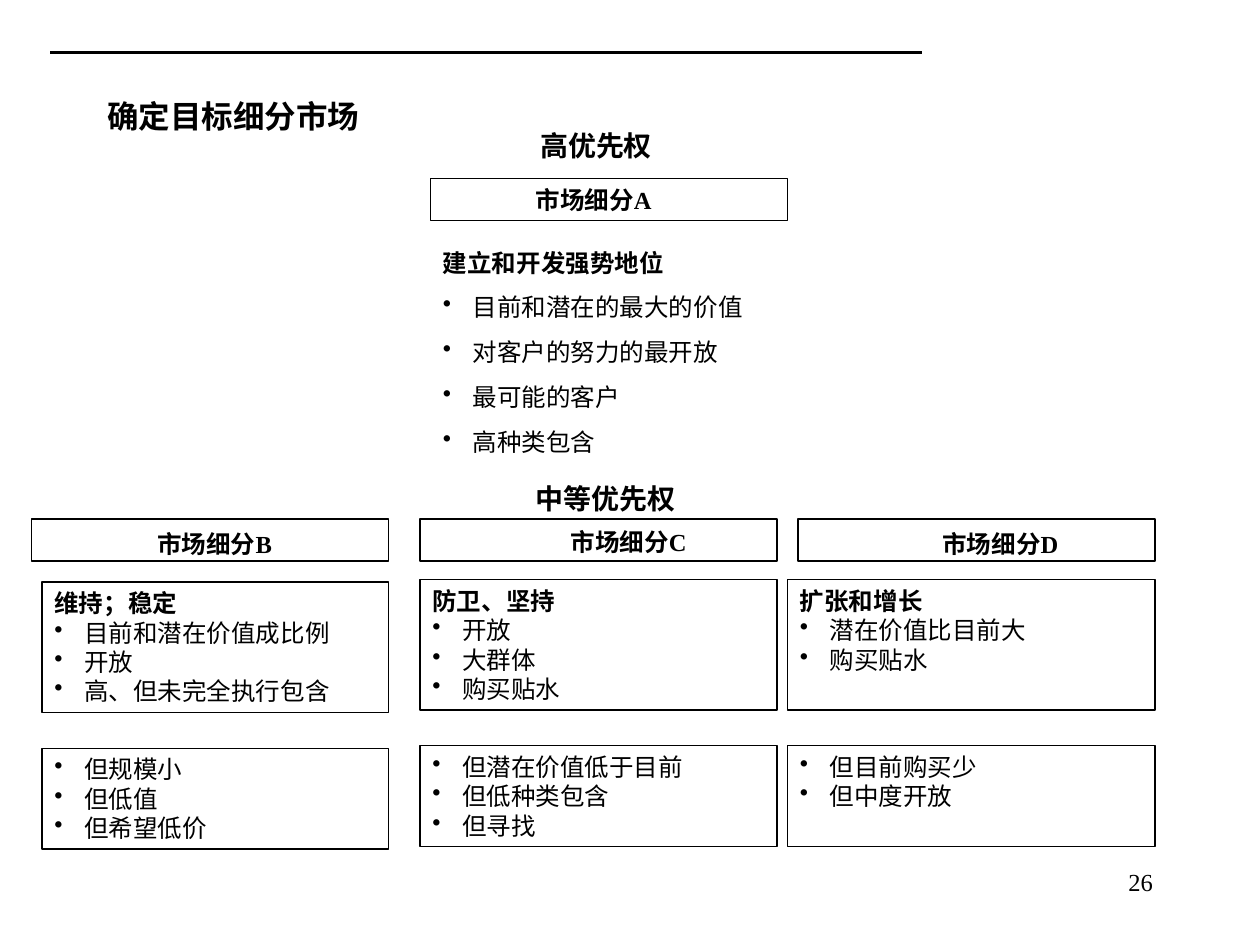
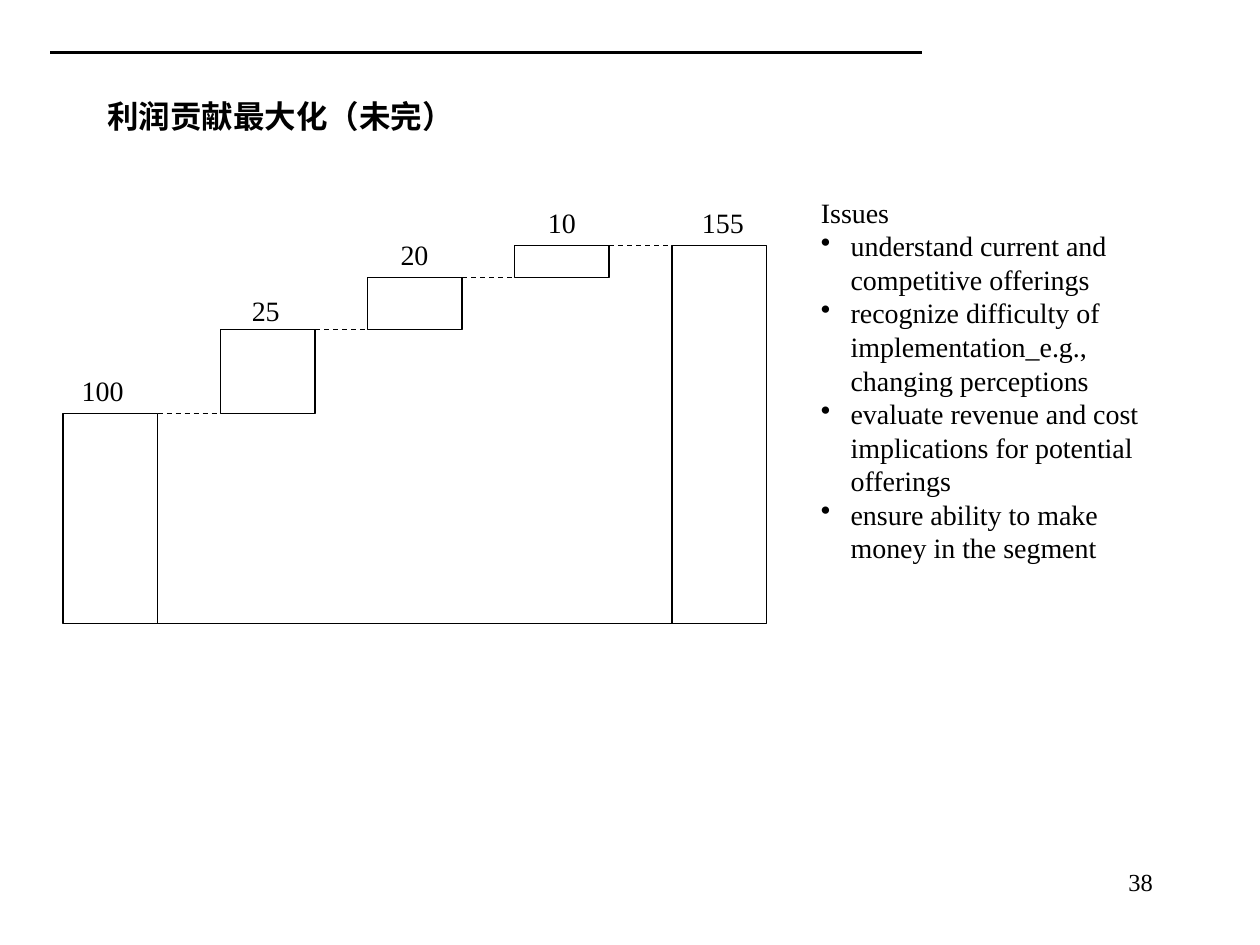
"""Build two slides: target segments by priority, and a profit step diagram."""
from lxml import etree
from pptx import Presentation
from pptx.dml.color import RGBColor
from pptx.enum import dml, lang, shapes, text
from pptx.oxml.ns import qn
from pptx.util import Pt

FONT = "Times New Roman"
INK, PAPER = "000000", "FFFFFF"
HANG = 17


def tint(code):
    return RGBColor.from_string(code)


class Deck:
    def __init__(self):
        self.prs = Presentation()
        self.prs.slide_width, self.prs.slide_height = Pt(720), Pt(540)
        self.slide = None

    def page(self, title, number):
        self.slide = self.prs.slides.add_slide(self.prs.slide_layouts[5])
        self.line(28.8, 30, 527, 30, 1.5)
        head = self.slide.shapes.title
        head.left, head.top, head.width, head.height = map(Pt, (54, 30, 612, 72))
        frame = self.frame(head, text.MSO_ANCHOR.MIDDLE)
        self.put(frame, [title], 18, bold=True)
        self.text(516, 492, 150, 36, [str(number)], 14, align=text.PP_ALIGN.RIGHT)

    def frame(self, shape, anchor=text.MSO_ANCHOR.TOP, wrap=True):
        frame = shape.text_frame
        frame.auto_size = text.MSO_AUTO_SIZE.NONE
        frame.word_wrap = wrap
        frame.vertical_anchor = anchor
        frame.margin_left = frame.margin_right = Pt(7.2)
        frame.margin_top = frame.margin_bottom = Pt(3.6)
        return frame

    def bullet(self, para):
        props = para._p.get_or_add_pPr()
        props.set("marL", str(Pt(HANG)))
        props.set("indent", str(-Pt(HANG)))
        etree.SubElement(props, qn("a:buChar")).set("char", "•")

    def put(self, frame, heads, size, items=(), bold=False, gap=0,
            align=text.PP_ALIGN.LEFT):
        rows = [(head, False) for head in heads] + [(item, True) for item in items]
        for i, (words, dot) in enumerate(rows):
            para = frame.add_paragraph() if i else frame.paragraphs[0]
            para.alignment = align
            para.space_before = Pt(gap if i else 0)
            if dot:
                self.bullet(para)
            run = para.add_run()
            run.text = words
            font = run.font
            font.name, font.size = FONT, Pt(size)
            font.bold = bold and not dot
            font.color.rgb = tint(INK)
            if not words.isascii():
                font.language_id = lang.MSO_LANGUAGE_ID.SIMPLIFIED_CHINESE

    def text(self, x, y, w, h, heads, size, wrap=True, **style):
        box = self.slide.shapes.add_textbox(Pt(x), Pt(y), Pt(w), Pt(h))
        self.put(self.frame(box, wrap=wrap), heads, size, **style)

    def label(self, x, y, w, words, size, bold=True):
        self.text(x, y, w, size * 1.2 + 7.2, [words], size, wrap=False, bold=bold)

    def rect(self, x, y, w, h, fill=None):
        box = self.slide.shapes.add_shape(
            shapes.MSO_SHAPE.RECTANGLE, Pt(x), Pt(y), Pt(w), Pt(h))
        box.shadow.inherit = False
        box.line.color.rgb, box.line.width = tint(INK), Pt(0.75)
        if fill:
            box.fill.solid()
            box.fill.fore_color.rgb = tint(fill)
        else:
            box.fill.background()
        return box

    def card(self, x, y, w, h, heads, items):
        box = self.rect(x, y, w, h)
        self.put(self.frame(box), heads, 14, items=items, bold=True)

    def line(self, x1, y1, x2, y2, width=0.75, dash=False):
        rule = self.slide.shapes.add_connector(
            shapes.MSO_CONNECTOR.STRAIGHT, Pt(x1), Pt(y1), Pt(x2), Pt(y2))
        rule.line.color.rgb, rule.line.width = tint(INK), Pt(width)
        if dash:
            rule.line.dash_style = dml.MSO_LINE.DASH
        etree.SubElement(rule._element.spPr, qn("a:effectLst"))


def targets(deck):
    deck.page("确定目标细分市场", 26)
    deck.label(301.7, 70, 78.4, "高优先权", 16)
    deck.rect(246, 102, 204, 24)
    deck.label(299, 102, 83.5, "市场细分A", 14)
    deck.text(246, 138, 216, 152, ["建立和开发强势地位"], 14, bold=True, gap=8.8,
              items=["目前和潜在的最大的价值", "对客户的努力的最开放",
                     "最可能的客户", "高种类包含"])
    deck.label(299, 271.5, 94.4, "中等优先权", 16)

    columns = [
        (18, "市场细分B", 82.8, 299, 24, 198, 332.6, "维持；稳定",
         ["目前和潜在价值成比例", "开放", "高、但未完全执行包含"],
         ["但规模小", "但低值", "但希望低价"]),
        (240, "市场细分C", 319, 297.5, 240, 204, 331.2, "防卫、坚持",
         ["开放", "大群体", "购买贴水"],
         ["但潜在价值低于目前", "但低种类包含", "但寻找"]),
        (456, "市场细分D", 531.5, 299, 450, 210, 331.2, "扩张和增长",
         ["潜在价值比目前大", "购买贴水"],
         ["但目前购买少", "但中度开放"]),
    ]
    for left, name, tx, ty, x, w, y, aim, pros, cons in columns:
        deck.rect(left, 296.6, 204, 24)
        deck.label(tx, ty, 83.5, name, 14)
        deck.card(x, y, w, 74.6, [aim], pros)
        deck.card(x, y + 95, w, 57.6, [], cons)


def profit(deck):
    deck.page("利润贡献最大化（未完）", 38)
    deck.text(462, 108, 204, 237.6, ["Issues"], 16, items=[
        "understand current and competitive offerings",
        "recognize difficulty of implementation_e.g., changing perceptions",
        "evaluate revenue and cost implications for potential offerings",
        "ensure ability to make money in the segment"])

    base, wide = 356.4, 54
    steps = [
        (36, 236.4, 100, 39.6, 210),
        (126, 188.4, 25, 136.8, 164.4),
        (210, 158.4, 20, 221.8, 132),
        (294, 140.4, 10, 306, 114),
        (384, 140.4, 155, 394, 114),
    ]
    total = steps[-1][2]
    floor = base
    for x, top, value, tx, ty in steps:
        deck.rect(x, top, wide, (base if value == total else floor) - top, PAPER)
        floor = top
    deck.line(36, base, 438, base)
    for x, top, value, tx, ty in steps:
        if value != total:
            deck.line(x + wide, top, x + wide + 36, top, dash=True)
        deck.label(tx, ty, 14.4 + 8 * len(str(value)), str(value), 16, bold=False)


def main():
    deck = Deck()
    targets(deck)
    profit(deck)
    deck.prs.save("out.pptx")


if __name__ == "__main__":
    main()
